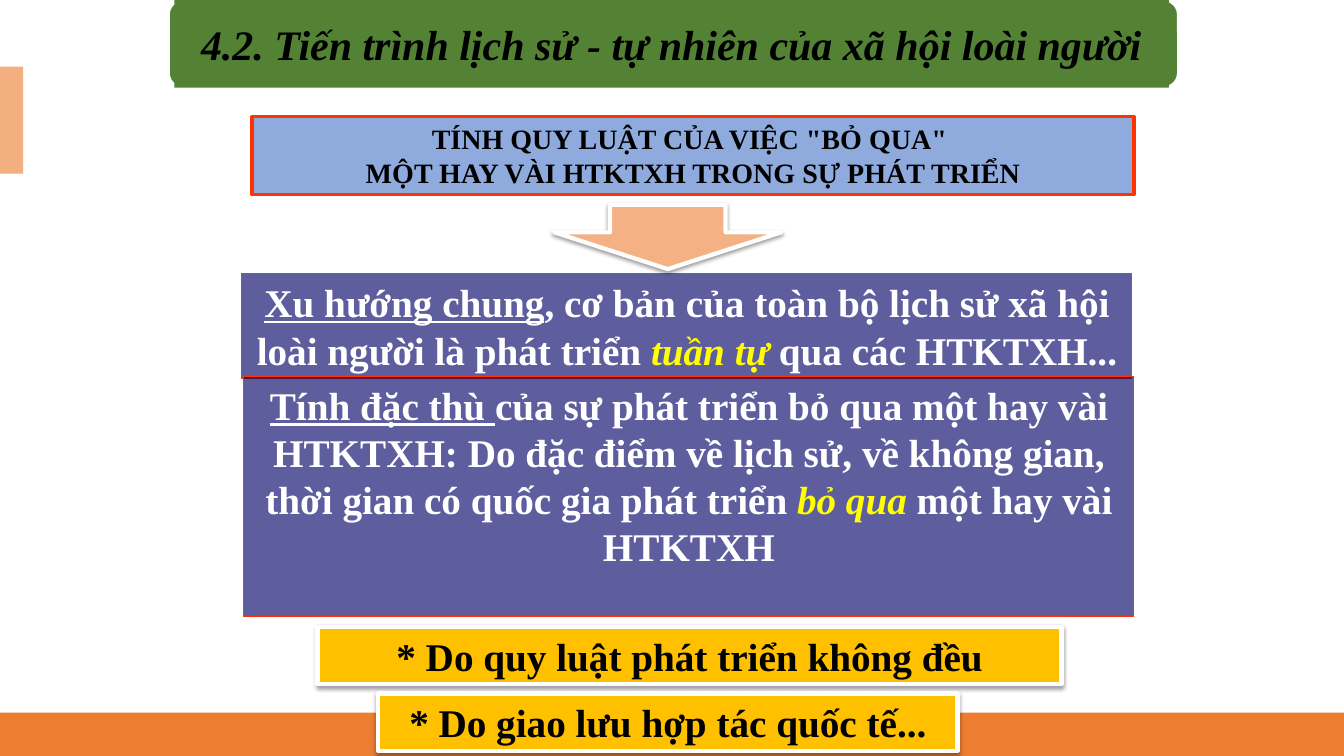
from dataclasses import dataclass, field
from typing import Any

from lxml.etree import SubElement
from pptx import Presentation
from pptx.dml.color import RGBColor
from pptx.enum.shapes import MSO_SHAPE as Preset
from pptx.enum.text import MSO_ANCHOR as Anchor, MSO_AUTO_SIZE as AutoSize, PP_ALIGN as Align
from pptx.oxml.ns import qn
from pptx.util import Pt


@dataclass(frozen=True)
class Theme:
    font: str = "Times New Roman"
    black: str = "000000"
    white: str = "FFFFFF"
    yellow: str = "FFFF00"
    red: str = "FF3300"
    orange: str = "ED7D31"
    peach: str = "F4AF80"
    arrow: str = "F4B183"
    green: str = "548235"
    blue: str = "8FAADC"
    navy: str = "000066"
    gold: str = "FFC000"
    title_size: float = 30
    body_size: float = 28
    header_size: float = 20


THEME = Theme()


@dataclass(frozen=True)
class Span:
    text: str
    color: str = THEME.white
    size: float = THEME.body_size
    style: dict[str, bool] = field(default_factory=dict)


@dataclass(frozen=True)
class Box:
    at: tuple[float, float, float, float]
    fill: str
    preset: Preset = Preset.RECTANGLE
    line: tuple[str, float] | None = None
    opacity: int = 100
    shadow: bool = False
    adjustments: tuple[float, ...] = ()
    paras: tuple[tuple[Span, ...], ...] = ()


UNDERLINE = {"underline": True}
ITALIC = {"italic": True}


def header_line(text: str) -> tuple[Span, ...]:
    return (Span(text, THEME.black, THEME.header_size),)


def thesis(at: tuple[float, float, float, float], *spans: Span) -> Box:
    return Box(at, THEME.navy, line=(THEME.red, 0.75), opacity=63, paras=(spans,))


def reason(at: tuple[float, float, float, float], text: str) -> Box:
    return Box(at, THEME.gold, line=(THEME.white, 3), shadow=True,
               paras=((Span(text, THEME.black),),))


BACKDROP = (
    Box((0, 509, 960, 31), THEME.orange),
    Box((0, 47.5, 16.5, 76.5), THEME.peach),
    Box((120.25, 0, 721.5, 62.6), THEME.green, Preset.ROUNDED_RECTANGLE, (THEME.white, 2)),
)
TITLE = Box((124.5, 0, 710.5, 62.6), THEME.green, paras=((
    Span("4.2. Tiến trình lịch sử - tự nhiên của xã hội loài người",
         THEME.black, THEME.title_size, ITALIC),),))
CONTENT = (
    Box((180, 83.5, 630, 55.5), THEME.blue, line=(THEME.red, 2.25), paras=(
        header_line('TÍNH QUY LUẬT CỦA VIỆC "BỎ QUA" '),
        header_line("MỘT HAY VÀI HTKTXH TRONG SỰ PHÁT TRIỂN"))),
    thesis((172.8, 195.6, 635.8, 75),
           Span("Xu hướng chung", style=UNDERLINE),
           Span(", cơ bản của toàn bộ lịch sử xã hội loài người là phát triển "),
           Span("tuần tự ", THEME.yellow, style=ITALIC),
           Span("qua các HTKTXH...")),
    thesis((174.2, 268.6, 635.8, 172),
           Span("Tính đặc thù ", style=UNDERLINE),
           Span("của sự phát triển bỏ qua một hay vài HTKTXH: Do đặc điểm về lịch sử, "
                "về không gian, thời gian có quốc gia phát triển "),
           Span("bỏ qua ", THEME.yellow, style=ITALIC),
           Span("một hay vài HTKTXH")),
    reason((226.8, 447.8, 531.4, 41), "* Do quy luật phát triển không đều"),
    reason((270, 495.4, 414, 41), "* Do giao lưu hợp tác quốc tế..."),
    Box((396, 146.2, 162, 46), THEME.arrow, Preset.DOWN_ARROW, (THEME.white, 3),
        shadow=True, adjustments=(0.51, 0.57)),
)


def set_all(target: Any, values: dict[str, Any]) -> None:
    for name, value in values.items():
        setattr(target, name, value)


def place(shape: Any, box: Box) -> None:
    set_all(shape, dict(zip(("left", "top", "width", "height"), map(Pt, box.at))))


def paint(shape: Any, box: Box) -> None:
    """Apply fill, opacity and outline."""
    shape.fill.solid()
    shape.fill.fore_color.rgb = RGBColor.from_string(box.fill)
    if box.opacity < 100:
        color = shape.fill._xPr.find(f"{qn('a:solidFill')}/{qn('a:srgbClr')}")
        SubElement(color, qn("a:alpha"), val=str(box.opacity * 1000))
    if box.line is None:
        shape.line.fill.background()
    else:
        color_name, width = box.line
        shape.line.color.rgb = RGBColor.from_string(color_name)
        shape.line.width = Pt(width)


def cast_shadow(shape: Any) -> None:
    """Add a soft shadow straight below the shape."""
    effects = shape._element.spPr.find(qn("a:effectLst"))
    shadow = SubElement(effects, qn("a:outerShdw"), blurRad=str(Pt(3.1)), dist=str(Pt(1.6)),
                        dir=str(90 * 60000), rotWithShape="0")
    color = SubElement(shadow, qn("a:srgbClr"), val=THEME.black)
    SubElement(color, qn("a:alpha"), val="38000")


def write(shape: Any, box: Box, frame_format: dict[str, Any]) -> None:
    frame = shape.text_frame
    set_all(frame, {"word_wrap": True, "auto_size": AutoSize.NONE} | frame_format)
    for index, spans in enumerate(box.paras):
        para = frame.add_paragraph() if index else frame.paragraphs[0]
        para.alignment = Align.CENTER
        for span in spans:
            run = para.add_run()
            run.text = span.text
            run.font.color.rgb = RGBColor.from_string(span.color)
            set_all(run.font, {"name": THEME.font, "size": Pt(span.size), "bold": True}
                    | span.style)


def draw(page: Any, box: Box) -> None:
    shape = page.shapes.add_shape(box.preset, *map(Pt, box.at))
    shape.shadow.inherit = False
    for index, value in enumerate(box.adjustments):
        shape.adjustments[index] = value
    paint(shape, box)
    if box.shadow:
        cast_shadow(shape)
    if box.paras:
        write(shape, box, {"vertical_anchor": Anchor.TOP})


def draw_title(page: Any, box: Box) -> None:
    """Fill the title placeholder and bring it in front of the backdrop."""
    title = page.shapes.title
    place(title, box)
    paint(title, box)
    write(title, box, {"vertical_anchor": Anchor.MIDDLE,
                       "margin_left": Pt(17.3), "margin_right": Pt(17.3),
                       "margin_top": Pt(0), "margin_bottom": Pt(0)})
    page.shapes._spTree.append(title._element)


def main() -> None:
    deck = Presentation()
    set_all(deck, {"slide_width": Pt(960), "slide_height": Pt(540)})
    page = deck.slides.add_slide(deck.slide_layouts.get_by_name("Title Only"))
    for box in BACKDROP:
        draw(page, box)
    draw_title(page, TITLE)
    for box in CONTENT:
        draw(page, box)
    deck.save("out.pptx")


if __name__ == "__main__":
    main()
